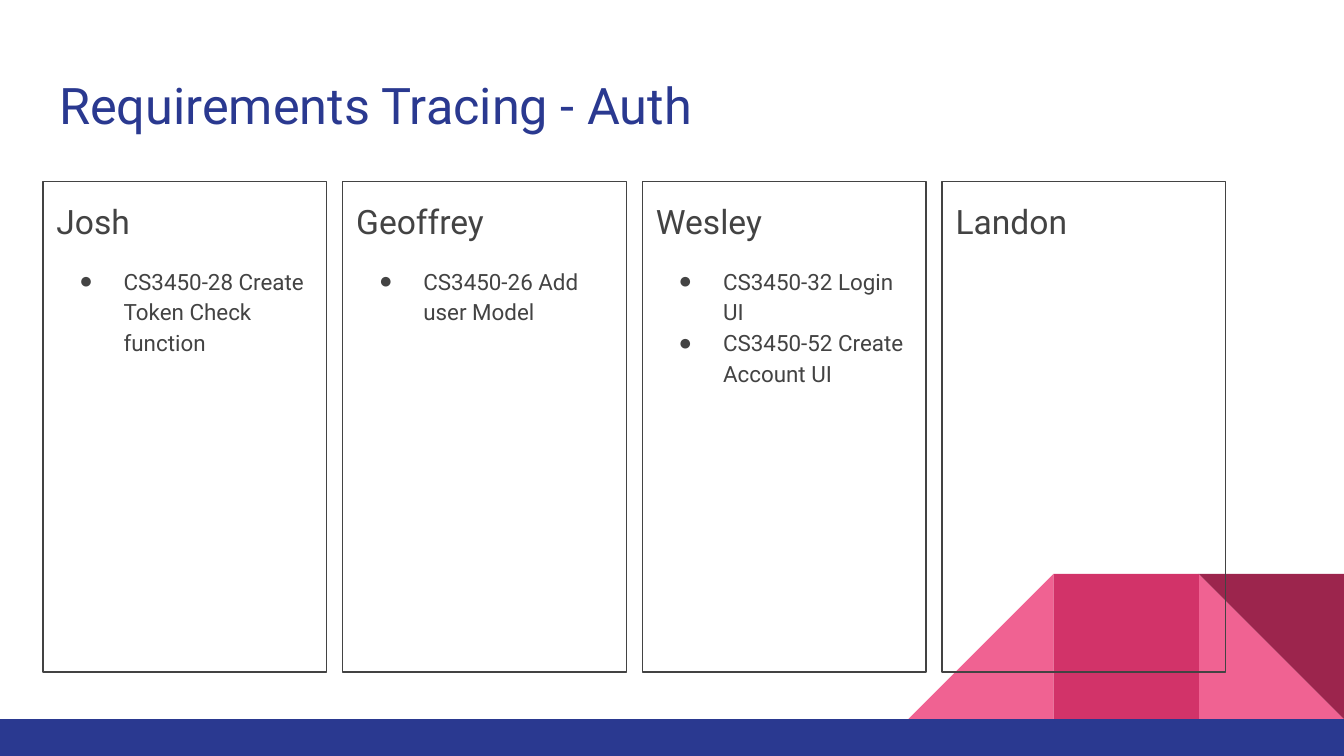
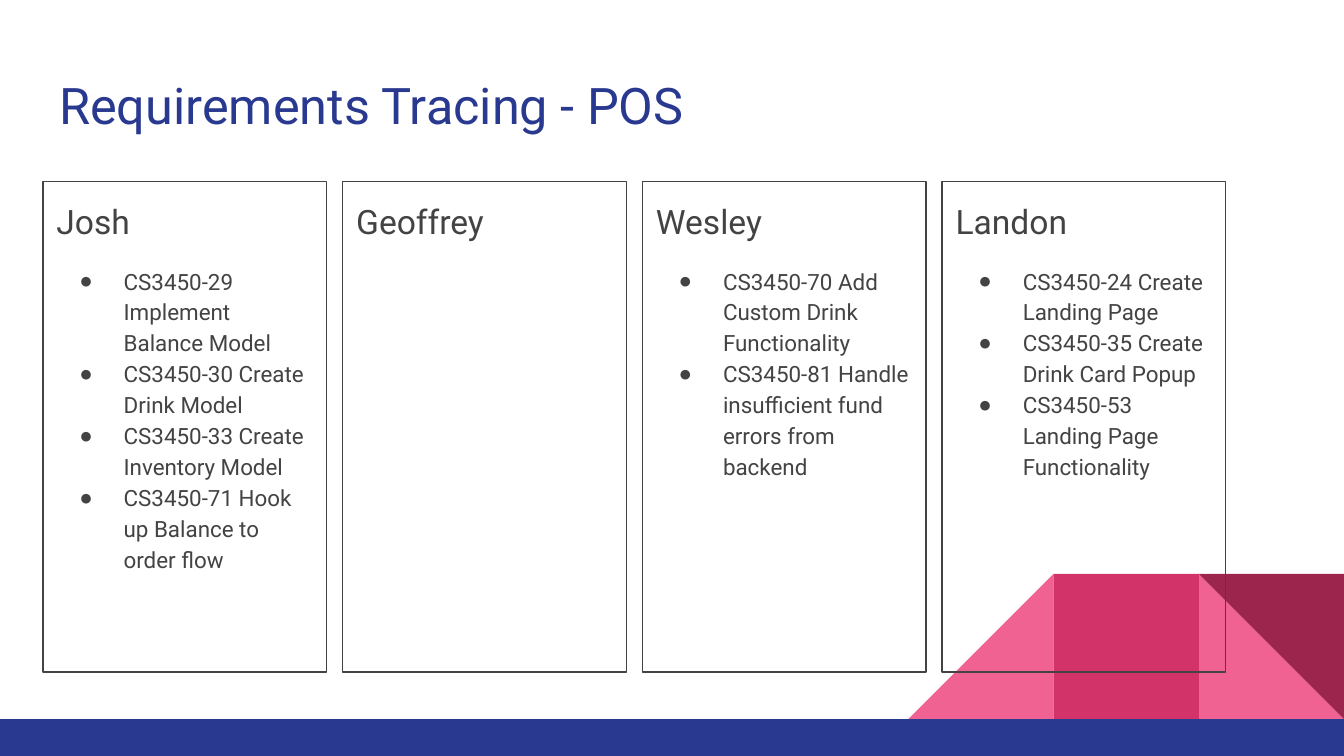
"""Build two slides that trace requirements to team members."""
from lxml import etree
from pptx import Presentation
from pptx import util as u
from pptx.dml.color import RGBColor
from pptx.enum import shapes, text
from pptx.oxml.ns import qn

HUES = {"navy": "2A3990", "ink": "434343", "pink": "F06292", "rose": "D23369", "wine": "9C254D"}
FONT = "Roboto"
TEAM = ["Josh", "Geoffrey", "Wesley", "Landon"]
PAGES = {
    "Requirements Tracing - Auth": {
        "Josh": ["CS3450-28 Create Token Check function"],
        "Geoffrey": ["CS3450-26 Add user Model"],
        "Wesley": ["CS3450-32 Login UI", "CS3450-52 Create Account UI"],
    },
    "Requirements Tracing - POS": {
        "Josh": [
            "CS3450-29 Implement Balance Model",
            "CS3450-30 Create Drink Model",
            "CS3450-33 Create Inventory Model",
            "CS3450-71 Hook up Balance to order flow",
        ],
        "Wesley": [
            "CS3450-70 Add Custom Drink Functionality",
            "CS3450-81 Handle insufficient fund errors from backend",
        ],
        "Landon": [
            "CS3450-24 Create Landing Page",
            "CS3450-35 Create Drink Card Popup",
            "CS3450-53 Landing Page Functionality",
        ],
    },
}


def hue(name):
    return RGBColor.from_string(HUES[name])


class Deck:
    """Holds the style and the current slide."""

    def __init__(self):
        self.prs = Presentation()
        self.prs.slide_width = u.Inches(10)
        self.prs.slide_height = u.Inches(10) * 9 // 16
        self.layout = self.prs.slide_layouts.get_by_name("Comparison")
        self.slide = None

    def page(self):
        self.slide = self.prs.slides.add_slide(self.layout)

    def block(self, group, kind, left, top, width, height, fill):
        part = group.shapes.add_shape(kind, *map(u.Inches, (left, top, width, height)))
        part.shadow.inherit = False
        part.fill.solid()
        part.fill.fore_color.rgb = hue(fill)
        part.line.fill.background()
        return part

    def decor(self):
        group = self.slide.shapes.add_group_shape()
        kind, side, top = shapes.MSO_SHAPE, 1.08, 4.27
        left, mid, right = (10 - side * n for n in (3, 2, 1))
        self.block(group, kind.RIGHT_TRIANGLE, right, top, side, side, "pink")
        slope = self.block(group, kind.RIGHT_TRIANGLE, left, top, side, side, "pink")
        slope._element.spPr.xfrm.set("flipH", "1")
        self.block(group, kind.RECTANGLE, mid, top, side, side, "rose")
        self.block(group, kind.RIGHT_TRIANGLE, right, top, side, side, "wine").rotation = 180
        self.block(group, kind.RECTANGLE, 0, 5.35, 10, 0.28, "navy")
        self.layout.shapes._spTree.append(group._element)

    def place(self, holder, left, top, width, height, lines):
        holder.left, holder.top = u.Inches(left), u.Inches(top)
        holder.width, holder.height = u.Inches(width), u.Inches(height)
        frame = holder.text_frame
        frame.text = "\n".join(lines)
        frame.word_wrap = True
        frame.auto_size = text.MSO_AUTO_SIZE.NONE
        frame.vertical_anchor = text.MSO_ANCHOR.TOP
        frame.margin_left = frame.margin_right = u.Inches(0.1)
        frame.margin_top = frame.margin_bottom = u.Inches(0.1)
        return frame.paragraphs

    def style(self, para, size, color, before=0, pitch=1.0):
        para.alignment = text.PP_ALIGN.LEFT
        para.line_spacing = pitch
        para.space_before, para.space_after = u.Pt(before), u.Pt(0)
        for run in para.runs:
            run.font.name, run.font.size = FONT, u.Pt(size)
            run.font.bold = False
            run.font.color.rgb = hue(color)

    def bullet(self, para, mark):
        props = para._p.get_or_add_pPr()
        props.set("marL", str(u.Inches(0.5 if mark else 0)))
        props.set("indent", str(u.Inches(-0.33 if mark else 0)))
        if not mark:
            etree.SubElement(props, qn("a:buNone"))
            return
        tint = etree.SubElement(props, qn("a:buClr"))
        etree.SubElement(tint, qn("a:srgbClr"), val=HUES["ink"])
        etree.SubElement(props, qn("a:buChar"), char=mark)

    def title(self, words):
        para = self.place(self.slide.shapes.title, 0.34, 0.45, 9.32, 0.66, [words])[0]
        self.style(para, 27, "navy")

    def card(self, spot, name, tasks):
        holder = self.slide.placeholders[spot + 1]
        holder.line.color.rgb = hue("ink")
        holder.line.width = u.Pt(0.75)
        paras = self.place(holder, 0.32 + 2.23 * spot, 1.35, 2.11, 3.65, [name, *tasks])
        for row, para in enumerate(paras):
            self.style(para, 12 if row else 18, "ink", 12 if row == 1 else 0, 1.15)
            self.bullet(para, "●" if row else None)


def main():
    deck = Deck()
    for number, (title, work) in enumerate(PAGES.items()):
        deck.page()
        if number == 0:
            deck.decor()
        deck.title(title)
        for spot, name in enumerate(TEAM):
            deck.card(spot, name, work.get(name, []))
    deck.prs.save("out.pptx")


if __name__ == "__main__":
    main()
